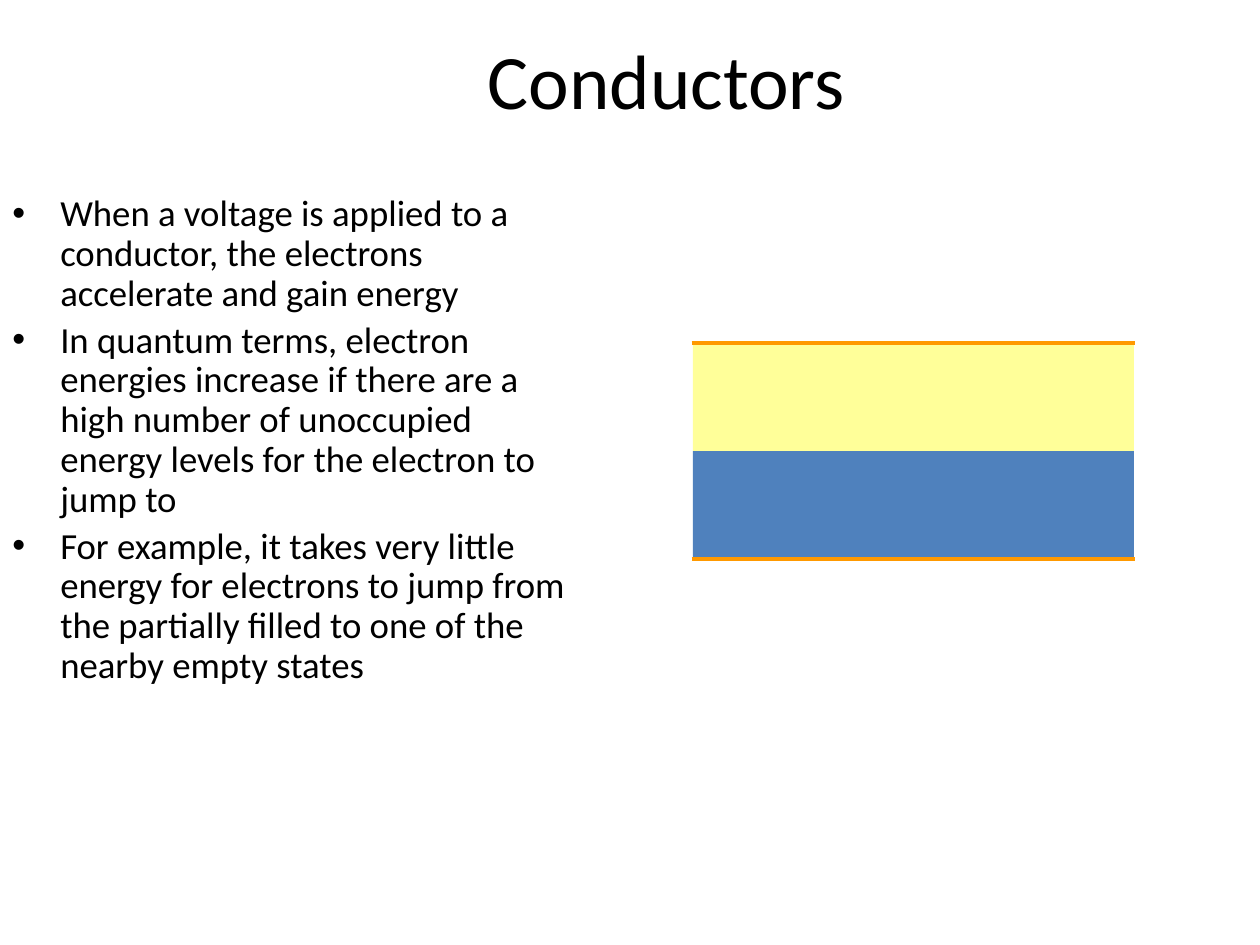
from dataclasses import dataclass

from lxml.etree import SubElement
from pptx import Presentation
from pptx.dml.color import RGBColor
from pptx.enum.shapes import MSO_CONNECTOR, MSO_SHAPE
from pptx.enum.text import MSO_ANCHOR, PP_ALIGN
from pptx.oxml.ns import qn
from pptx.slide import Slide
from pptx.text.text import TextFrame, _Paragraph
from pptx.util import Inches, Length, Pt


@dataclass(frozen=True)
class Theme:
    font: str = "Calibri"
    ink: str = "000000"
    empty: str = "FFFF99"
    filled: str = "4F81BD"
    edge: str = "FF9900"
    title: float = 44
    body: float = 21
    rule: float = 2.25


@dataclass(frozen=True)
class Box:
    """An area in inches."""
    left: float
    top: float
    width: float
    height: float

    def emu(self) -> list[Length]:
        return [Inches(n) for n in (self.left, self.top, self.width, self.height)]


THEME = Theme()
WIDE, HIGH = 10, 7.5
TITLE = Box(0.175 * WIDE, 0, 0.708 * WIDE, HIGH / 6)
BODY = Box(0, HIGH / 5, 0.471 * WIDE, 0.6 * HIGH)
BANDS = Box(0.55 * WIDE, 2.72, 0.35 * WIDE, 1.72)
LIP = 0.01
INDENT = 0.38
POINTS = (
    "When a voltage is applied to a conductor, the electrons accelerate and gain energy",
    "In quantum terms, electron energies increase if there are a high number of "
    "unoccupied energy levels for the electron to jump to",
    "For example, it takes very little energy for electrons to jump from the "
    "partially filled to one of the nearby empty states",
)


def color(code: str) -> RGBColor:
    return RGBColor.from_string(code)


def add_box(slide: Slide, box: Box, anchor: MSO_ANCHOR) -> TextFrame:
    frame = slide.shapes.add_textbox(*box.emu()).text_frame
    frame.word_wrap = True
    frame.vertical_anchor = anchor
    return frame


def set_font(para: _Paragraph, size: float) -> None:
    para.font.name = THEME.font
    para.font.size = Pt(size)
    para.font.color.rgb = color(THEME.ink)


def add_title(slide: Slide, text: str) -> None:
    para = add_box(slide, TITLE, MSO_ANCHOR.MIDDLE).paragraphs[0]
    para.text = text
    para.alignment = PP_ALIGN.CENTER
    set_font(para, THEME.title)


def add_points(slide: Slide, points: tuple[str, ...]) -> None:
    frame = add_box(slide, BODY, MSO_ANCHOR.TOP)
    for i, text in enumerate(points):
        para = frame.add_paragraph() if i else frame.paragraphs[0]
        para.text = text
        para.line_spacing = 0.9
        para.space_before = Pt(0.2 * THEME.body if i else 0)
        props = para._p.get_or_add_pPr()
        props.set("marL", str(Inches(INDENT)))
        props.set("indent", str(-Inches(INDENT)))
        SubElement(props, qn("a:buFont"), typeface="Arial")
        SubElement(props, qn("a:buChar"), char="•")
        set_font(para, THEME.body)


def add_band(slide: Slide, box: Box, fill: str) -> None:
    band = slide.shapes.add_shape(MSO_SHAPE.RECTANGLE, *box.emu())
    band.shadow.inherit = False
    band.fill.solid()
    band.fill.fore_color.rgb = color(fill)
    band.line.fill.background()


def add_edge(slide: Slide, top: float) -> None:
    left, right = BANDS.left - LIP, BANDS.left + BANDS.width + LIP
    edge = slide.shapes.add_connector(
        MSO_CONNECTOR.STRAIGHT, *(Inches(n) for n in (left, top, right, top)))
    edge.line.color.rgb = color(THEME.edge)
    edge.line.width = Pt(THEME.rule)
    SubElement(edge._element.spPr, qn("a:effectLst"))


def main() -> None:
    deck = Presentation()
    deck.slide_width, deck.slide_height = Inches(WIDE), Inches(HIGH)
    slide = deck.slides.add_slide(deck.slide_layouts[6])
    add_title(slide, "Conductors")
    add_points(slide, POINTS)

    half = BANDS.height / 2
    for row, fill in enumerate((THEME.empty, THEME.filled)):
        add_band(slide, Box(BANDS.left, BANDS.top + row * half, BANDS.width, half), fill)
    for top in (BANDS.top + BANDS.height, BANDS.top):
        add_edge(slide, top)
    deck.save("out.pptx")


if __name__ == "__main__":
    main()
